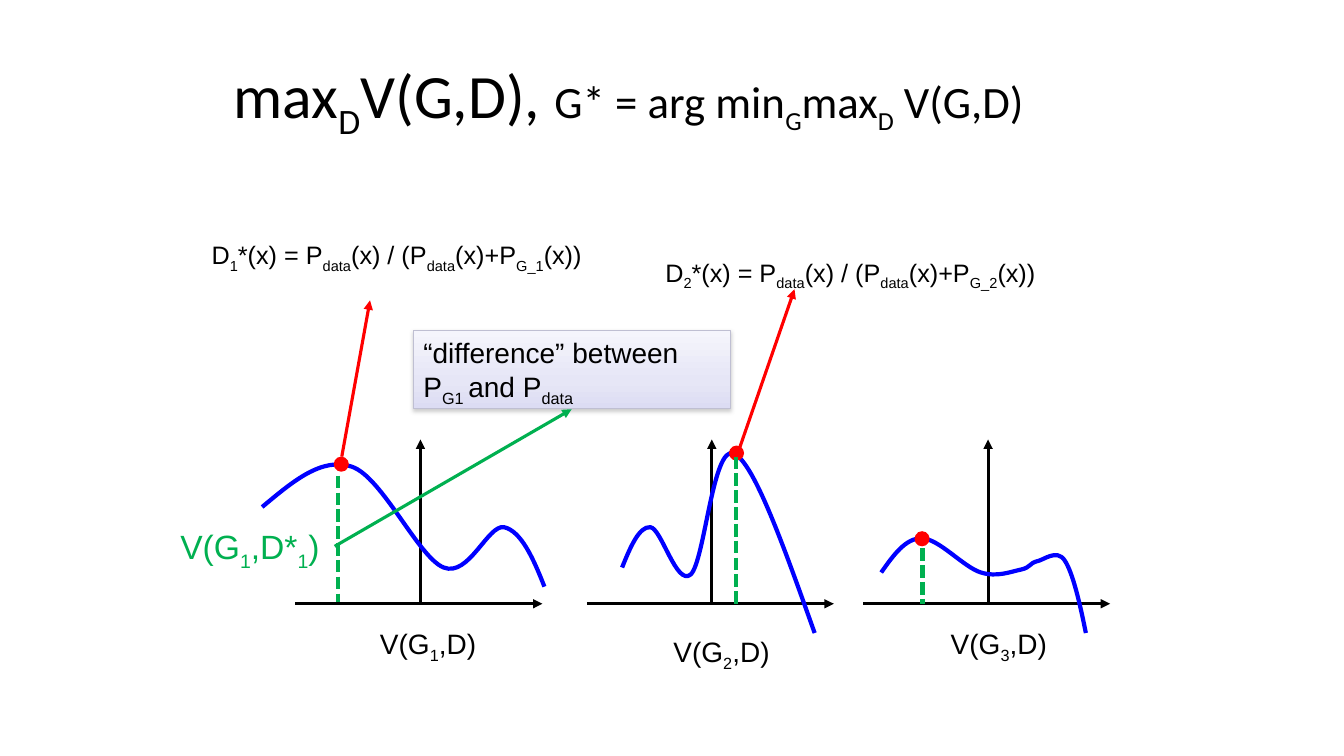
from copy import deepcopy
from lxml import etree
from pptx import Presentation
from pptx.dml.color import RGBColor
from pptx.enum.dml import MSO_LINE
from pptx.enum.shapes import MSO_CONNECTOR, MSO_SHAPE
from pptx.enum.text import MSO_ANCHOR
from pptx.oxml import parse_xml
from pptx.oxml.ns import qn
from pptx.util import Inches, Pt

STRAIGHT = MSO_CONNECTOR.STRAIGHT
OVAL, RECT = MSO_SHAPE.OVAL, MSO_SHAPE.RECTANGLE
DOTS = MSO_LINE.SQUARE_DOT
TOP, MIDDLE = MSO_ANCHOR.TOP, MSO_ANCHOR.MIDDLE
BLACK = RGBColor(0x00, 0x00, 0x00)
BLUE = RGBColor(0x00, 0x00, 0xFF)
RED = RGBColor(0xFF, 0x00, 0x00)
GREEN = RGBColor(0x00, 0xB0, 0x50)
EDGE = RGBColor(0xBF, 0xBF, 0xD2)
FADE = [(0, RGBColor(0xF5, 0xF5, 0xFC)), (0.65, RGBColor(0xE6, 0xE6, 0xF6)),
        (1, RGBColor(0xDC, 0xDC, 0xF3))]

# Content: every second part between bars is a subscript
TITLE = [(" max|D|V(G,D), ", 44), ("G* = arg min|G|max|D| V(G,D)", 32)]
NOTE = "“difference” between P|G1 |and P|data"
VALUE = "V(G|1|,D*|1|)"
OPTIMA = [
    ("D|1|*(x) = P|data|(x) / (P|data|(x)+P|G_1|(x))", 2.0, 2.33),
    ("D|2|*(x) = P|data|(x) / (P|data|(x)+P|G_2|(x))", 6.5, 2.5),
]

# Plots: axis start, label place, peak dot, drop line, Bezier points
PLOTS = [
    dict(left=2.93, label="V(G|1|,D)", spot=(3.67, 6.17), dot=(3.31, 4.53),
         drop=(3.35, 4.72, 5.97),
         curve=[(2.6, 5.03), (2.9, 4.78), (3.19, 4.53), (3.49, 4.63),
                (3.79, 4.73), (4.15, 5.53), (4.4, 5.63),
                (4.65, 5.73), (4.84, 5.2), (5, 5.23),
                (5.17, 5.27), (5.29, 5.54), (5.4, 5.82)]),
    dict(left=5.82, label="V(G|2|,D)", spot=(6.58, 6.25), dot=(7.23, 4.42),
         drop=(7.3, 4.53, 6.0),
         curve=[(6.17, 5.63), (6.25, 5.43), (6.34, 5.22), (6.45, 5.23),
                (6.56, 5.24), (6.71, 5.82), (6.85, 5.7),
                (6.99, 5.57), (7.07, 4.4), (7.28, 4.5),
                (7.48, 4.59), (7.78, 5.44), (8.08, 6.28)]),
    dict(left=8.56, label="V(G|3|,D)", spot=(9.33, 6.17), dot=(9.07, 5.27),
         drop=(9.15, 5.44, 5.99),
         curve=[(8.74, 5.68), (8.86, 5.51), (8.98, 5.34), (9.14, 5.34),
                (9.31, 5.34), (9.56, 5.63), (9.73, 5.68),
                (9.89, 5.73), (10.03, 5.67), (10.13, 5.65),
                (10.22, 5.63), (10.21, 5.59), (10.28, 5.57),
                (10.35, 5.56), (10.48, 5.44), (10.56, 5.56),
                (10.64, 5.68), (10.71, 5.98), (10.77, 6.28)]),
]
BASE, PEAK, SPAN, MID = 5.99, 4.36, 2.45, 1.24
DOT = 0.15
RAYS = [(3.39, 4.53, 3.67, 2.98), (7.32, 4.49, 7.88, 2.87)]
LINK = (3.32, 5.42, 5.67, 4.06)

deck = Presentation()
deck.slide_width, deck.slide_height = Inches(13.33), Inches(7.5)
slide = deck.slides.add_slide(deck.slide_layouts[6])
shapes = slide.shapes


def write(para, text, size, color=BLACK, face="Arial"):
    for i, part in enumerate(text.split("|")):
        if part:
            run = para.add_run()
            run.text = part
            font = run.font
            font.size, font.name = Pt(size), face
            font.color.rgb = color
            if i % 2:
                font._element.set("baseline", "-25000")


def label(text, x, y, w, h, size, color=BLACK):
    frame = shapes.add_textbox(*map(Inches, (x, y, w, h))).text_frame
    frame.word_wrap = False
    write(frame.paragraphs[0], text, size, color)


def line(x1, y1, x2, y2, color, width=2.25, head=True):
    link = shapes.add_connector(STRAIGHT, *map(Inches, (x1, y1, x2, y2)))
    link.line.color.rgb = color
    link.line.width = Pt(width)
    if head:
        etree.SubElement(link.line._get_or_add_ln(), qn("a:tailEnd"),
                         type="triangle")
    else:
        link.line.dash_style = DOTS
    etree.SubElement(link._element.spPr, qn("a:effectLst"))


def curve(points):
    pts = [(Inches(x), Inches(y)) for x, y in points]
    pen = shapes.build_freeform(*pts[0])
    pen.add_line_segments(pts[1:], close=False)
    wave = pen.convert_to_shape()
    wave.shadow.inherit = False
    wave.fill.background()
    wave.line.color.rgb = BLUE
    wave.line.width = Pt(3)
    # Turn each three line points into one Bezier segment
    steps = wave._element.spPr.findall(".//" + qn("a:lnTo"))
    for i in range(0, len(steps), 3):
        bend = etree.Element(qn("a:cubicBezTo"))
        steps[i].addprevious(bend)
        for step in steps[i:i + 3]:
            bend.append(step[0])
            step.getparent().remove(step)


# Axes, labels and curves
for plot in PLOTS:
    left = plot["left"]
    line(left, BASE, left + SPAN, BASE, BLACK)
    line(left + MID, BASE, left + MID, PEAK, BLACK)
    label(plot["label"], *plot["spot"], 1.19, 0.44, 20)
for plot in PLOTS:
    curve(plot["curve"])

# Peaks, arrows to the optima and drop lines
for plot in PLOTS:
    dot = shapes.add_shape(OVAL, *map(Inches, (*plot["dot"], DOT, DOT)))
    dot.shadow.inherit = False
    dot.fill.solid()
    dot.fill.fore_color.rgb = RED
    dot.line.fill.background()
for ray in RAYS:
    line(*ray, RED)
for plot in PLOTS:
    x, top, end = plot["drop"]
    line(x, top, x, end, GREEN, 3, head=False)
label(VALUE, 1.69, 5.17, 1.63, 0.51, 24, GREEN)

# Note box with gradient and soft shadow
box = shapes.add_shape(RECT, *map(Inches, (4.1, 3.28, 3.15, 0.77)))
box.fill.gradient()
stops = box._element.spPr.find(".//" + qn("a:gsLst"))
stops.append(deepcopy(stops[0]))
for stop, (place, color) in zip(box.fill.gradient_stops, FADE):
    stop.position = place
    stop.color.rgb = color
box.fill.gradient_angle = 270
box.line.color.rgb = EDGE
box.line.width = Pt(0.75)
box.shadow.inherit = False
box._element.spPr.find(qn("a:effectLst")).append(parse_xml(
    '<a:outerShdw xmlns:a="http://schemas.openxmlformats.org/drawingml/2006/main"'
    f' blurRad="{Pt(3.1)}" dist="{Pt(1.6)}" dir="5400000" rotWithShape="0">'
    '<a:srgbClr val="808080"><a:alpha val="38000"/></a:srgbClr></a:outerShdw>'))
frame = box.text_frame
frame.word_wrap = True
frame.vertical_anchor = TOP
para = frame.paragraphs[0]
para.alignment = 1
write(para, NOTE, 20)
line(*LINK, GREEN)

# Title and optimum formulas
frame = shapes.add_textbox(*map(Inches, (2.08, 0.33, 9, 1.25))).text_frame
frame.word_wrap = True
frame.vertical_anchor = MIDDLE
para = frame.paragraphs[0]
para.line_spacing = 0.9
for text, size in TITLE:
    write(para, text, size, face="Calibri")
for text, x, y in OPTIMA:
    label(text, x, y, 4.05, 0.4, 18)

deck.save("out.pptx")
